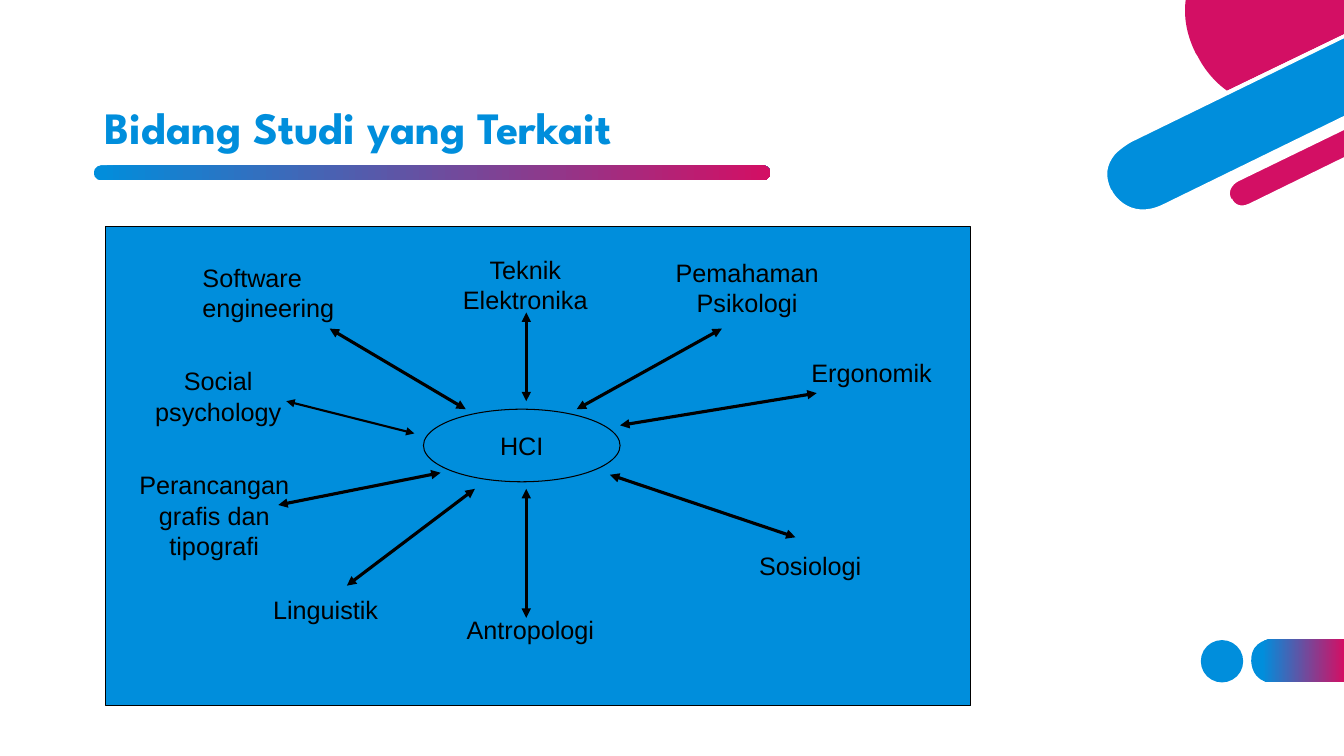
from dataclasses import dataclass

from lxml import etree
from pptx import Presentation
from pptx.dml.color import RGBColor
from pptx.enum.shapes import MSO_CONNECTOR, MSO_SHAPE
from pptx.enum.text import MSO_ANCHOR, MSO_AUTO_SIZE, PP_ALIGN
from pptx.oxml.ns import qn
from pptx.shapes.autoshape import Shape
from pptx.shapes.shapetree import SlideShapes
from pptx.text.text import TextFrame
from pptx.util import Inches, Pt

BLUE = RGBColor(0x00, 0x8E, 0xDC)
MAGENTA = RGBColor(0xD3, 0x0F, 0x64)
WHITE = RGBColor(0xFF, 0xFF, 0xFF)
BLACK = RGBColor(0x00, 0x00, 0x00)

STRAIGHT = MSO_CONNECTOR.STRAIGHT
OVAL, RECTANGLE, ROUNDED = MSO_SHAPE.OVAL, MSO_SHAPE.RECTANGLE, MSO_SHAPE.ROUNDED_RECTANGLE
LEFT, CENTER = PP_ALIGN.LEFT, PP_ALIGN.CENTER
TOP, MIDDLE = MSO_ANCHOR.TOP, MSO_ANCHOR.MIDDLE
GROW, FIXED = MSO_AUTO_SIZE.SHAPE_TO_FIT_TEXT, MSO_AUTO_SIZE.NONE

TITLE_FONT = {"name": "League Spartan", "size": Pt(32), "bold": True}
LABEL_FONT = {"name": "Arial", "size": Pt(18)}
TITLE_FRAME = {"word_wrap": True, "auto_size": FIXED, "vertical_anchor": MIDDLE}
LABEL_FRAME = {"word_wrap": True, "auto_size": GROW, "vertical_anchor": TOP}
HUB_FRAME = {"word_wrap": False, "auto_size": FIXED, "vertical_anchor": MIDDLE}

Point = tuple[float, float]


@dataclass(frozen=True)
class Outline:
    color: RGBColor
    start: Point
    segments: list[tuple[float, ...]]


@dataclass(frozen=True)
class Field:
    text: str
    box: tuple[float, float, float, float]
    align: PP_ALIGN
    arrow_from: Point
    arrow_to: Point
    weight: float = 2.25


PILL = Outline(BLUE, (12.62, 6.77), [
    (13.33, 6.77), (13.33, 6.34), (12.62, 6.34),
    (12.62, 6.34, 12.41, 6.34, 12.41, 6.55), (12.41, 6.56),
    (12.41, 6.56, 12.41, 6.77, 12.62, 6.77)])

CORNER = [
    Outline(BLUE, (11.21, 1.39), [
        (11.21, 1.39, 10.85, 1.57, 11.01, 1.89), (11.01, 1.9),
        (11.01, 1.9, 11.17, 2.22, 11.54, 2.04), (13.33, 1.17), (13.33, 0.36)]),
    Outline(MAGENTA, (11.88, 0.56), [
        (11.88, 0.56, 11.97, 0.76, 12.17, 0.9), (13.33, 0.34), (13.33, 0), (11.76, 0),
        (11.74, 0.15, 11.76, 0.33, 11.86, 0.53)]),
    Outline(MAGENTA, (13.33, 1.26), [
        (12.27, 1.78), (12.27, 1.78, 12.13, 1.85, 12.2, 1.97), (12.2, 1.98),
        (12.2, 1.98, 12.26, 2.11, 12.4, 2.04), (13.33, 1.58)]),
    Outline(WHITE, (12.39, 2.02), [
        (12.27, 2.08, 12.22, 1.98, 12.22, 1.97), (12.21, 1.97),
        (12.16, 1.86, 12.28, 1.8, 12.28, 1.8), (13.33, 1.29), (13.33, 1.24), (12.26, 1.76),
        (12.26, 1.76, 12.19, 1.8, 12.17, 1.87), (12.15, 1.91, 12.16, 1.95, 12.18, 1.99),
        (12.2, 2.03, 12.25, 2.08, 12.32, 2.08), (12.35, 2.08, 12.38, 2.08, 12.41, 2.06),
        (13.33, 1.61), (13.33, 1.56)]),
    Outline(WHITE, (11.53, 2.03), [
        (11.19, 2.19, 11.03, 1.9, 11.03, 1.89), (11.02, 1.88),
        (10.96, 1.75, 10.97, 1.64, 11.06, 1.53), (11.13, 1.46, 11.22, 1.41, 11.22, 1.41),
        (13.33, 0.38), (13.33, 0.34), (11.2, 1.37),
        (11.19, 1.38, 11.02, 1.46, 10.96, 1.63), (10.93, 1.71, 10.94, 1.8, 10.99, 1.9),
        (10.99, 1.91), (10.99, 1.91, 11.1, 2.12, 11.33, 2.12),
        (11.39, 2.12, 11.46, 2.1, 11.54, 2.06), (13.33, 1.19), (13.33, 1.15)]),
]

FIELDS = [
    Field("Teknik Elektronika", (4.28, 2.47, 1.86, 0.7), CENTER, (5.22, 3.1), (5.22, 3.98)),
    Field("Pemahaman Psikologi", (6.47, 2.5, 1.88, 0.7), CENTER, (5.72, 4.06), (7.16, 3.26)),
    Field("Ergonomik", (7.84, 3.5, 1.61, 0.4), CENTER, (6.15, 4.22), (8.1, 3.9)),
    Field("Antropologi", (4.2, 6.05, 2.12, 0.4), CENTER, (5.22, 6.13), (5.22, 4.85)),
    Field("Linguistik", (2.61, 5.85, 1.95, 0.4), LEFT, (3.44, 5.81), (4.71, 4.85)),
    Field("Perancangan grafis dan tipografi", (1.15, 4.61, 1.95, 1), CENTER,
          (2.76, 5.01), (4.37, 4.69)),
    Field("Social psychology", (1.15, 3.58, 2.03, 0.7), CENTER, (2.84, 3.98), (4.11, 4.3), 1.5),
    Field("Software engineering", (1.91, 2.55, 1.69, 0.7), LEFT, (3.27, 3.26), (4.62, 4.06)),
    Field("Sosiologi", (7.43, 5.41, 2.2, 0.4), LEFT, (6.05, 4.71), (7.89, 5.33)),
]


def paint(shape: Shape, color: RGBColor) -> None:
    shape.shadow.inherit = False
    shape.fill.solid()
    shape.fill.fore_color.rgb = color
    shape.line.fill.background()


def paint_gradient(shape: Shape, first_stop: float) -> None:
    paint(shape, BLUE)
    shape.fill.gradient()
    shape.fill.gradient_angle = 0
    for stop, color, position in zip(shape.fill.gradient_stops, (BLUE, MAGENTA), (first_stop, 1)):
        stop.color.rgb = color
        stop.position = position


def rim(shape: Shape) -> None:
    shape.line.color.rgb = BLACK
    shape.line.width = Pt(0.75)


def draw_outline(shapes: SlideShapes, outline: Outline) -> Shape:
    corners = [(Inches(x), Inches(y)) for segment in outline.segments
               for x, y in zip(segment[::2], segment[1::2])]
    builder = shapes.build_freeform(*(Inches(value) for value in outline.start))
    builder.add_line_segments(corners, close=True)
    shape = builder.convert_to_shape()
    steps = iter(list(shape.element.iter(qn("a:lnTo"))))
    for segment in outline.segments:
        step = next(steps)
        if len(segment) == 6:
            curve = etree.Element(qn("a:cubicBezTo"))
            step.addprevious(curve)
            for control in (step, next(steps), next(steps)):
                curve.append(control[0])
                control.getparent().remove(control)
    paint(shape, outline.color)
    return shape


def write(frame: TextFrame, text: str, frame_format: dict, font_format: dict,
          color: RGBColor, align: PP_ALIGN) -> None:
    for key, value in frame_format.items():
        setattr(frame, key, value)
    paragraph = frame.paragraphs[0]
    paragraph.alignment = align
    run = paragraph.add_run()
    run.text = text
    for key, value in font_format.items():
        setattr(run.font, key, value)
    run.font.color.rgb = color


def draw_arrow(shapes: SlideShapes, field: Field) -> None:
    ends = [Inches(value) for value in field.arrow_from + field.arrow_to]
    arrow = shapes.add_connector(STRAIGHT, *ends)
    arrow.line.color.rgb = BLACK
    arrow.line.width = Pt(field.weight)
    properties = arrow.element.spPr
    for tag in ("a:headEnd", "a:tailEnd"):
        etree.SubElement(properties.find(qn("a:ln")), qn(tag), type="triangle")
    etree.SubElement(properties, qn("a:effectLst"))


def main() -> None:
    presentation = Presentation()
    presentation.slide_width = Inches(13.33)
    presentation.slide_height = Inches(7.5)
    shapes = presentation.slides.add_slide(presentation.slide_layouts[6]).shapes

    dot = shapes.add_shape(OVAL, Inches(11.91), Inches(6.35), Inches(0.42), Inches(0.42))
    paint(dot, BLUE)
    paint_gradient(draw_outline(shapes, PILL), 0.12)
    for outline in CORNER:
        draw_outline(shapes, outline)

    underline = shapes.add_shape(ROUNDED, Inches(0.93), Inches(1.64), Inches(6.71), Inches(0.15))
    underline.adjustments[0] = 0.5
    paint_gradient(underline, 0)

    title = shapes.add_textbox(Inches(0.94), Inches(0.69), Inches(9), Inches(1.2)).text_frame
    write(title, "Bidang Studi yang Terkait", TITLE_FRAME, TITLE_FONT, BLUE, LEFT)
    title.paragraphs[0].line_spacing = 0.9

    panel = shapes.add_shape(RECTANGLE, Inches(1.05), Inches(2.25), Inches(8.58), Inches(4.75))
    paint(panel, BLUE)
    rim(panel)

    hub = shapes.add_shape(OVAL, Inches(4.2), Inches(4.06), Inches(1.95), Inches(0.72))
    hub.shadow.inherit = False
    hub.fill.background()
    rim(hub)
    write(hub.text_frame, "HCI", HUB_FRAME, LABEL_FONT, BLACK, CENTER)

    for field in FIELDS:
        label = shapes.add_textbox(*(Inches(value) for value in field.box))
        write(label.text_frame, field.text, LABEL_FRAME, LABEL_FONT, BLACK, field.align)
    for field in FIELDS:
        draw_arrow(shapes, field)

    presentation.save("out.pptx")


if __name__ == "__main__":
    main()
